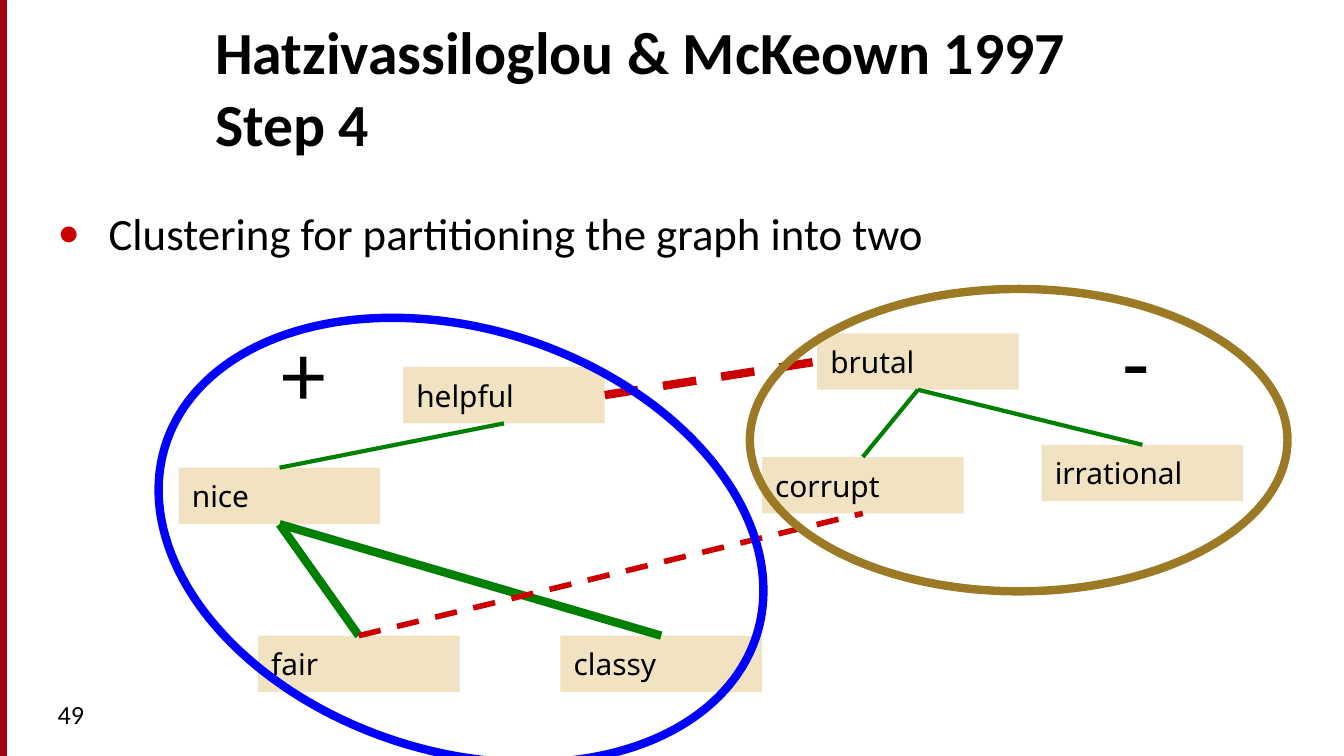
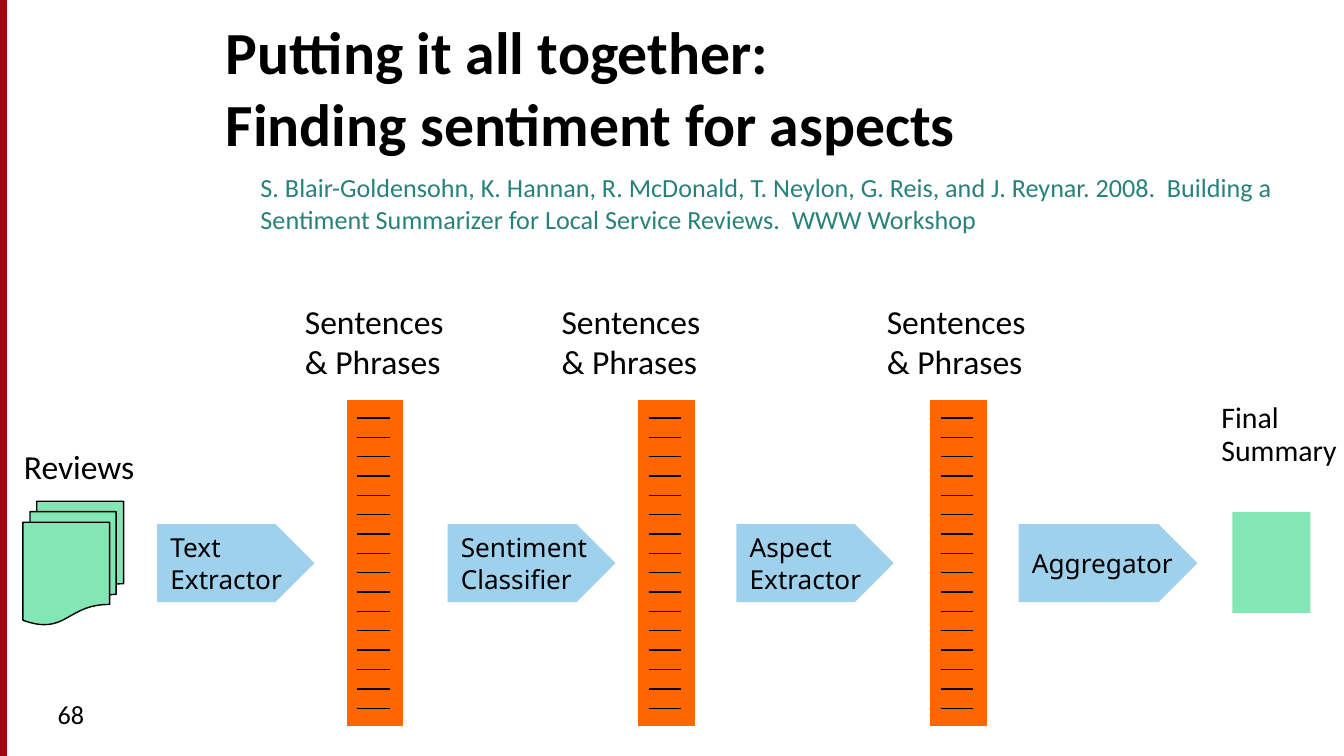
from dataclasses import dataclass

from lxml.etree import SubElement
from pptx import Presentation
from pptx.dml.color import RGBColor
from pptx.enum.dml import MSO_LINE as Dash
from pptx.enum.shapes import MSO_CONNECTOR as Link, MSO_SHAPE as Form
from pptx.enum.text import MSO_ANCHOR as Anchor, MSO_AUTO_SIZE as Fit, PP_ALIGN as Align
from pptx.oxml.ns import qn
from pptx.util import Inches, Pt


@dataclass(frozen=True)
class Theme:
    """Colours, fonts and type sizes shared by the slides."""
    ink: str = "000000"
    band: str = "A40508"
    edge: str = "A4001D"
    red: str = "CC0000"
    green: str = "008000"
    blue: str = "0000FF"
    gold: str = "9C7A25"
    sand: str = "F1E3C2"
    mint: str = "83E6B5"
    sky: str = "9FD0EC"
    fire: str = "FF6600"
    teal: str = "28817A"
    body: str = "Calibri"
    label: str = "Noto Sans"
    title: int = 32
    sign: int = 48
    point: int = 24
    head: int = 18
    word: int = 16
    small: int = 14
    hair: float = 0.75


LOOK = Theme()
TOP, LEFT, BOTTOM, RIGHT = range(4)


def paint(text):
    """Turn a hex string into a colour."""
    return RGBColor.from_string(text)


def place(box, left, top, *size):
    """Shift a spot by the corner of a box and return lengths."""
    return [Inches(n) for n in (box[0] + left, box[1] + top, *size)]


def write(frame, text, size, font=LOOK.body, color=LOOK.ink, bold=False,
          anchor=Anchor.TOP, wrap=False, fit=Fit.NONE, space=None):
    """Fill a text frame with left-aligned, evenly styled text."""
    frame.text = text
    frame.word_wrap = wrap
    frame.auto_size = fit
    frame.vertical_anchor = anchor
    for para in frame.paragraphs:
        para.alignment = Align.LEFT
        para.line_spacing = space
        para.font.size = Pt(size)
        para.font.name = font
        para.font.bold = bold
        para.font.color.rgb = paint(color)


def note(slide, spot, text, size, fit=Fit.SHAPE_TO_FIT_TEXT, **style):
    """Add a text box."""
    frame = slide.shapes.add_textbox(*spot).text_frame
    write(frame, text, size, fit=fit, **style)
    return frame


def stroke(item, color, width):
    """Set the line of a shape or connector."""
    item.line.color.rgb = paint(color)
    item.line.width = Pt(width)


def draw(shapes, form, spot, fill=None, line=None, width=LOOK.hair):
    """Add a flat preset shape."""
    shape = shapes.add_shape(form, *spot)
    shape.shadow.inherit = False
    if fill:
        shape.fill.solid()
        shape.fill.fore_color.rgb = paint(fill)
    else:
        shape.fill.background()
    if line:
        stroke(shape, line, width)
    else:
        shape.line.fill.background()
    return shape


def join(shapes, ends, color, width):
    """Add a straight, flat connector."""
    line = shapes.add_connector(Link.STRAIGHT, *ends)
    stroke(line, color, width)
    SubElement(line.element.spPr, qn("a:effectLst"))
    return line


def start(deck, title, box, page):
    """Add a slide with its side band, title and page number."""
    slide = deck.slides.add_slide(deck.slide_layouts[5])
    band = draw(slide.shapes, Form.RECTANGLE,
                place((-2.79, 2.79), 0, 0, 5.63, 0.05), LOOK.band, LOOK.edge)
    band.rotation = 90
    head = slide.shapes.title
    head.left, head.top, head.width, head.height = place(box, 0, 0, *box[2:])
    write(head.text_frame, title, LOOK.title, bold=True,
          anchor=Anchor.BOTTOM, wrap=True)
    note(slide, place((0.33, 5.15), 0, 0, 2.17, 0.38), page, LOOK.small,
         fit=Fit.NONE, wrap=True)
    return slide


def point(slide, box, text):
    """Add a bulleted line."""
    frame = note(slide, place(box, 0, 0, *box[2:]), text, LOOK.point,
                 fit=Fit.NONE, wrap=True)
    para = frame.paragraphs[0]
    para.space_before = Pt(0.2 * LOOK.point)
    props = para._p.get_or_add_pPr()
    props.set("marL", str(Inches(0.38)))
    props.set("indent", str(-Inches(0.38)))
    color = props.makeelement(qn("a:buClr"))
    SubElement(color, qn("a:srgbClr"), val=LOOK.red)
    font = props.makeelement(qn("a:buFont"), typeface=LOOK.body)
    mark = props.makeelement(qn("a:buChar"), char="•")
    last = props.find(qn("a:defRPr"))
    for part in (color, font, mark):
        last.addprevious(part)


def graph(slide, box):
    """Draw the word graph and its two clusters."""
    spots = {
        "classy": (2.84, 2.25), "nice": (0, 1), "helpful": (1.67, 0.25),
        "fair": (0.59, 2.25), "brutal": (4.75, 0),
        "irrational": (6.42, 0.83), "corrupt": (4.34, 0.92),
    }
    nodes = {}
    for word, spot in spots.items():
        node = draw(slide.shapes, Form.RECTANGLE,
                    place(box, *spot, 1.5, 0.42), LOOK.sand)
        write(node.text_frame, word, LOOK.word, LOOK.label,
              anchor=Anchor.MIDDLE)
        nodes[word] = node

    for first, out, second, into, color, width in (
        ("brutal", BOTTOM, "corrupt", TOP, LOOK.green, 2.25),
        ("nice", BOTTOM, "classy", TOP, LOOK.green, 4.5),
        ("nice", BOTTOM, "fair", TOP, LOOK.green, 4.5),
        ("fair", TOP, "corrupt", BOTTOM, LOOK.red, 3),
        ("irrational", TOP, "brutal", BOTTOM, LOOK.green, 2.25),
        ("helpful", BOTTOM, "nice", TOP, LOOK.green, 2.25),
        ("helpful", RIGHT, "brutal", LEFT, LOOK.red, 4.5),
    ):
        line = join(slide.shapes, (0, 0, 0, 0), color, width)
        line.begin_connect(nodes[first], out)
        line.end_connect(nodes[second], into)
        if color == LOOK.red:
            line.line.dash_style = Dash.DASH

    for spot, color, turn in (
        ((-0.21, -0.03, 4.62, 3.14), LOOK.blue, 18),
        ((4.25, -0.33, 4, 2.25), LOOK.gold, 0),
    ):
        ring = draw(slide.shapes, Form.OVAL, place(box, *spot),
                    line=color, width=4.5)
        ring.rotation = turn
    for sign, spot in (("+", (0.67, -0.17, 0.54, 0.91)),
                       ("-", (6.92, -0.25, 0.41, 0.91))):
        note(slide, place(box, *spot), sign, LOOK.sign)


def column(slide, box):
    """Draw one ruled bar of sentences as a group."""
    shapes = slide.shapes.add_group_shape().shapes
    draw(shapes, Form.FLOWCHART_PROCESS, place(box, 0, 0, 0.42, 2.42),
         LOOK.fire)
    count = 16
    for row in range(count):
        level = 0.13 + row * 2.16 / (count - 1)
        ends = place(box, 0.08, level) + place(box, 0.32, level)
        join(shapes, ends, LOOK.ink, LOOK.hair)


def flow(slide, box):
    """Draw the pipeline from reviews to summary."""
    draw(slide.shapes, Form.FLOWCHART_MULTIDOCUMENT,
         place(box, 0.17, 1.54, 0.75, 0.92), LOOK.mint, LOOK.ink)
    draw(slide.shapes, Form.RECTANGLE,
         place(box, 9.17, 1.62, 0.58, 0.75), LOOK.mint)
    for step in range(3):
        column(slide, (box[0] + 2.58 + 2.17 * step, box[1] + 0.79))

    note(slide, place(box, 0.08, 1.08, 1.04, 0.4), "Reviews", LOOK.head)
    note(slide, place(box, 8.99, 0.76, 1.07, 0.59), "Final\nSummary",
         LOOK.word, space=0.9)
    for left in (2.17, 4.08, 6.5):
        note(slide, place(box, left, 0, 1.25, 0.71),
             "Sentences\n& Phrases", LOOK.head)

    for left, width, text in (
        (1.17, 1.17, "Text\nExtractor"),
        (3.33, 1.25, "Sentiment\nClassifier"),
        (5.48, 1.17, "Aspect\nExtractor"),
        (7.58, 1.33, "Aggregator"),
    ):
        stage = draw(slide.shapes, Form.PENTAGON,
                     place(box, left, 1.71, width, 0.58), LOOK.sky)
        write(stage.text_frame, text, LOOK.small, LOOK.label,
              anchor=Anchor.MIDDLE)


def cluster(deck):
    """Build the slide on splitting the graph."""
    slide = start(deck, "Hatzivassiloglou & McKeown 1997\vStep 4",
                  (1.5, 0.42, 8.17, 0.81), "49")
    point(slide, (0.33, 1.48, 9.33, 3.65),
          "Clustering for partitioning the graph into two")
    graph(slide, (1.33, 2.48))


def aspects(deck):
    """Build the slide on the whole pipeline."""
    slide = start(deck, "Putting it all together:\vFinding sentiment for aspects",
                  (1.58, 0.15, 8.17, 1.08), "68")
    flow(slide, (0, 2.19))
    note(slide, place((1.84, 1.23), 0, 0, 8.16, 0.57),
         "S. Blair-Goldensohn, K. Hannan, R. McDonald, T. Neylon, G. Reis, "
         "and J. Reynar. 2008.  Building a Sentiment Summarizer for Local "
         "Service Reviews.  WWW Workshop",
         LOOK.small, color=LOOK.teal, wrap=True)


def main():
    """Build and save the deck."""
    deck = Presentation()
    deck.slide_width = Inches(10)
    deck.slide_height = deck.slide_width * 9 // 16
    cluster(deck)
    aspects(deck)
    deck.save("out.pptx")


if __name__ == "__main__":
    main()
